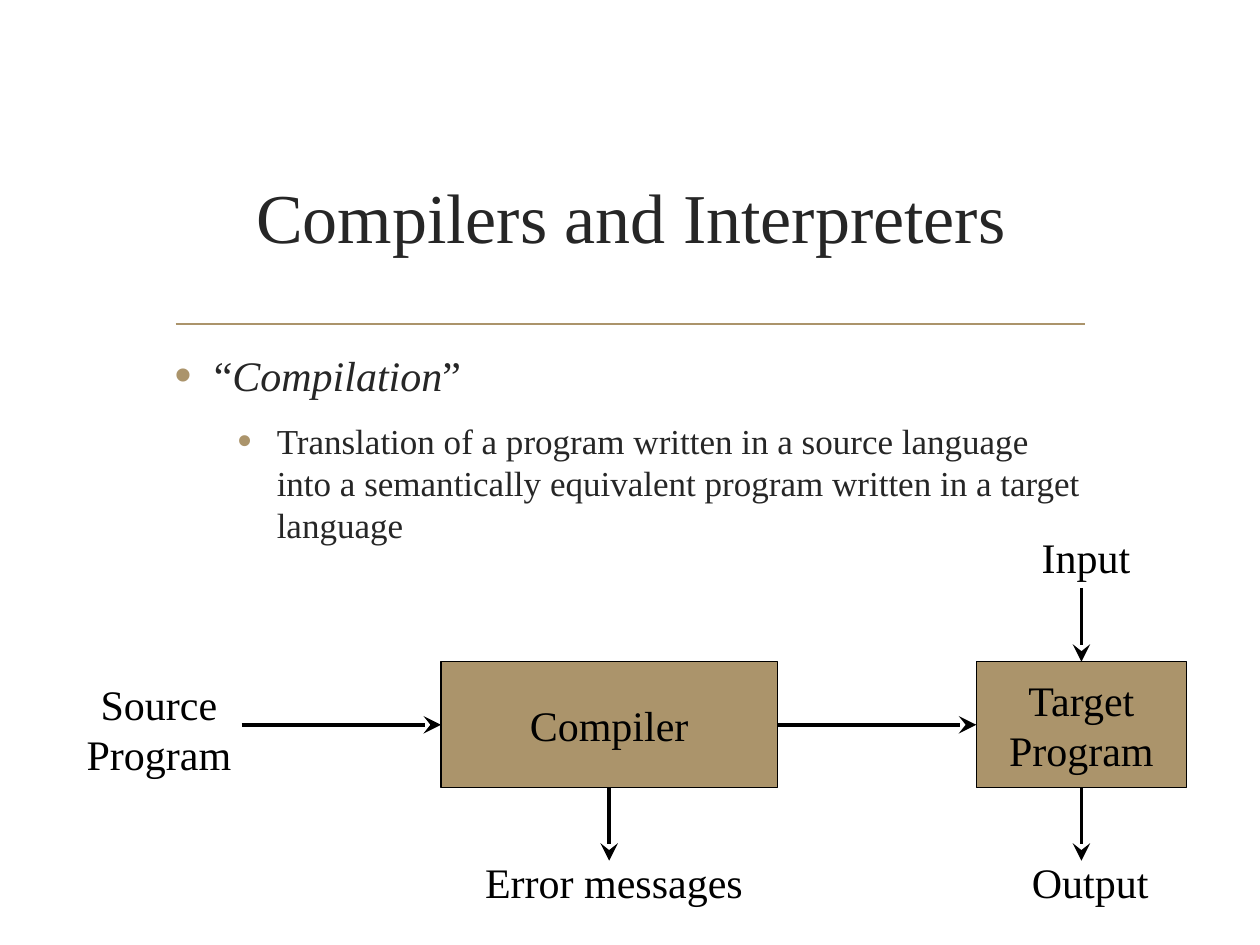
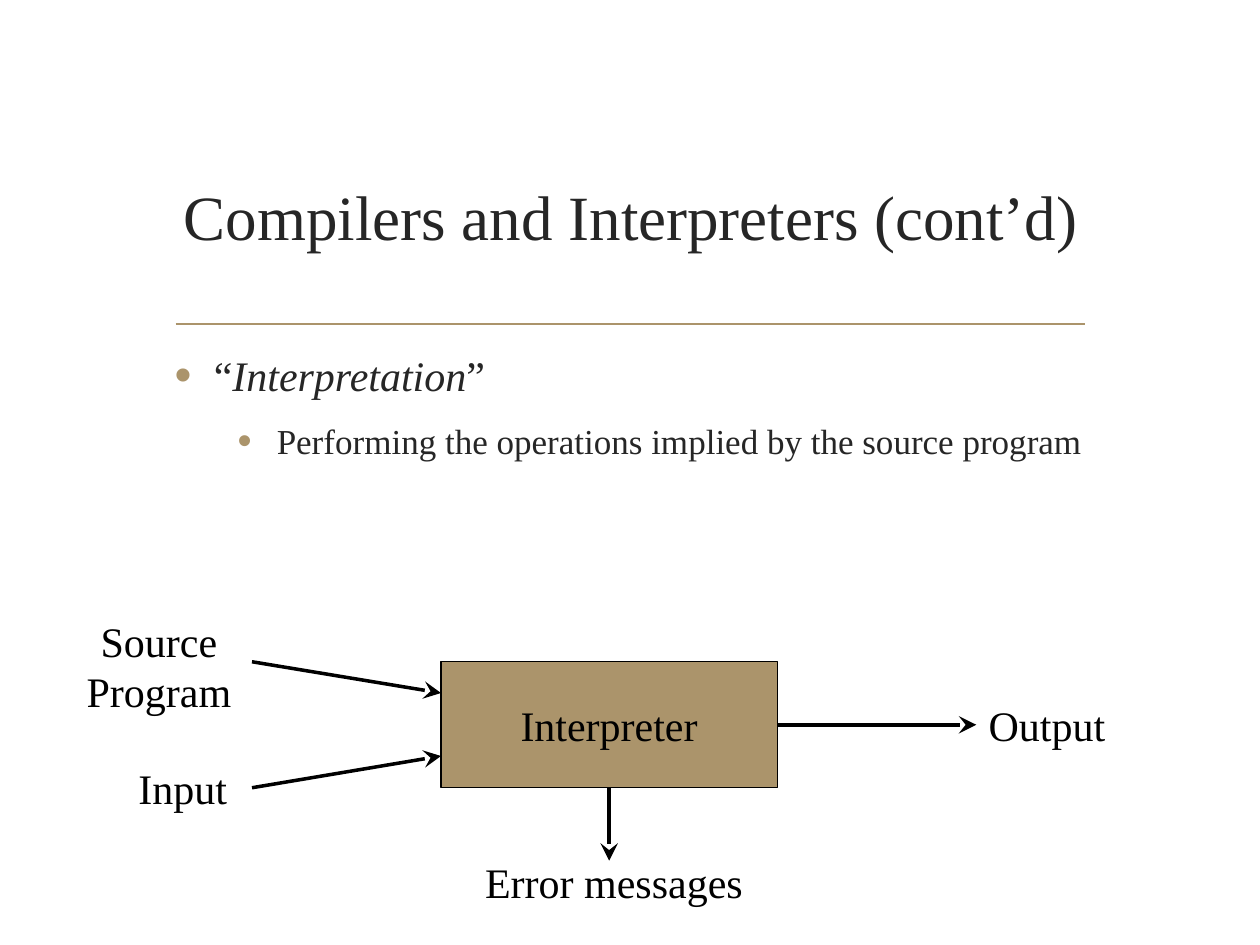
from dataclasses import dataclass
from enum import IntEnum
from typing import Union

from lxml.etree import SubElement
from pptx import Presentation
from pptx.dml.color import RGBColor
from pptx.enum.shapes import MSO_CONNECTOR, MSO_SHAPE
from pptx.enum.text import MSO_ANCHOR, MSO_AUTO_SIZE, PP_ALIGN
from pptx.oxml.ns import qn
from pptx.shapes.autoshape import Shape
from pptx.shapes.connector import Connector
from pptx.slide import Slide
from pptx.text.text import TextFrame, _Paragraph
from pptx.util import Cm, Pt


@dataclass(frozen=True)
class Theme:
    """Colours, font and type sizes shared by the slides."""

    font: str = "Times New Roman"
    accent: RGBColor = RGBColor(0xAB, 0x94, 0x6B)
    text: RGBColor = RGBColor(0x26, 0x26, 0x26)
    ink: RGBColor = RGBColor(0, 0, 0)
    term_size: int = 24
    definition_size: int = 20
    diagram_size: int = 24
    rule_width: float = 1.25
    box_line_width: float = 0.75
    arrow_width: float = 2


THEME = Theme()


class Side(IntEnum):
    """Connection sites of a rectangle."""

    TOP = 0
    LEFT = 1
    BOTTOM = 2
    RIGHT = 3


@dataclass(frozen=True)
class Area:
    """A rectangle on the slide, in centimetres."""

    left: float
    top: float
    width: float
    height: float

    def lengths(self) -> tuple[Cm, Cm, Cm, Cm]:
        """Return the rectangle as slide lengths."""
        return Cm(self.left), Cm(self.top), Cm(self.width), Cm(self.height)


@dataclass(frozen=True)
class Point:
    """A free arrow end, in centimetres."""

    x: float
    y: float


@dataclass(frozen=True)
class Joint:
    """An arrow end held at the middle of a box side."""

    box: str
    side: Side


@dataclass(frozen=True)
class Arrow:
    """An arrow between two ends."""

    begin: Union[Point, Joint]
    end: Union[Point, Joint]


@dataclass(frozen=True)
class Block:
    """Diagram text with its place."""

    lines: tuple[str, ...]
    area: Area
    alignment: PP_ALIGN = PP_ALIGN.CENTER


@dataclass(frozen=True)
class Topic:
    """The content of one slide."""

    title: str
    title_size: int
    term: str
    definition: str
    boxes: dict[str, Block]
    labels: tuple[Block, ...]
    arrows: tuple[Arrow, ...]


TITLE_AREA = Area(3.27, 2.53, 18.9, 3.63)
BODY_AREA = Area(3.27, 6.93, 18.9, 9.58)
RULE_START, RULE_END = Point(3.54, 6.53), Point(21.88, 6.53)
HANGING = 0.79
SECOND_INDENT = 2.06
ROW_TOP, ROW_HEIGHT = 13.34, 2.54
ROW_MIDDLE = ROW_TOP + ROW_HEIGHT / 2
ARROW_BOTTOM = 17.35
CENTRAL_AREA = Area(8.89, ROW_TOP, 6.78, ROW_HEIGHT)
TARGET_AREA = Area(19.68, ROW_TOP, 4.24, ROW_HEIGHT)
CENTRAL_X = CENTRAL_AREA.left + CENTRAL_AREA.width / 2
TARGET_X = TARGET_AREA.left + TARGET_AREA.width / 2


def source_label(top: float) -> Block:
    """Describe the source program label."""
    return Block(("Source", "Program"), Area(1.48, top, 3.45, 2.29))


def line_label(text: str, left: float, top: float, width: float) -> Block:
    """Describe a label of one line."""
    return Block((text,), Area(left, top, width, 1.27), PP_ALIGN.LEFT)


def input_label(left: float, top: float) -> Block:
    """Describe the input label."""
    return line_label("Input", left, top, 2.35)


def output_label(left: float, top: float) -> Block:
    """Describe the output label."""
    return line_label("Output", left, top, 2.95)


ERROR_LABEL = line_label("Error messages", 9.53, 17.15, 5.8)
ERROR_ARROW = Arrow(Joint("central", Side.BOTTOM), Point(CENTRAL_X, ARROW_BOTTOM))

TOPICS = (
    Topic(
        "Compilers and Interpreters", 40, "Compilation",
        "Translation of a program written in a source language into a "
        "semantically equivalent program written in a target language",
        {"central": Block(("Compiler",), CENTRAL_AREA),
         "target": Block(("Target", "Program"), TARGET_AREA)},
        (ERROR_LABEL, source_label(13.55), input_label(20.75, 10.59), output_label(20.55, 17.15)),
        (
            Arrow(Point(4.87, ROW_MIDDLE), Joint("central", Side.LEFT)),
            ERROR_ARROW,
            Arrow(Joint("central", Side.RIGHT), Joint("target", Side.LEFT)),
            Arrow(Joint("target", Side.BOTTOM), Point(TARGET_X, ARROW_BOTTOM)),
            Arrow(Point(TARGET_X, 11.85), Joint("target", Side.TOP)),
        ),
    ),
    Topic(
        "Compilers and Interpreters (cont’d)", 36, "Interpretation",
        "Performing the operations implied by the source program",
        {"central": Block(("Interpreter",), CENTRAL_AREA)},
        (source_label(12.28), input_label(2.54, 15.24), output_label(19.68, 13.97), ERROR_LABEL),
        (
            Arrow(Point(5.08, 13.34), Point(8.89, 13.97)),
            Arrow(Point(5.08, 15.88), Point(8.89, 15.24)),
            Arrow(Joint("central", Side.RIGHT), Point(19.68, ROW_MIDDLE)),
            ERROR_ARROW,
        ),
    ),
)


def style_paragraph(paragraph: _Paragraph, size: int, colour: RGBColor) -> None:
    """Give a paragraph the shared font."""
    paragraph.font.name = THEME.font
    paragraph.font.size = Pt(size)
    paragraph.font.color.rgb = colour


def add_bullet(paragraph: _Paragraph, indent: float) -> None:
    """Give a paragraph a hanging accent bullet."""
    properties = paragraph._p.get_or_add_pPr()
    properties.set("marL", str(Cm(indent)))
    properties.set("indent", str(-Cm(HANGING)))
    colour = SubElement(properties, qn("a:buClr"))
    SubElement(colour, qn("a:srgbClr"), val=str(THEME.accent))
    SubElement(properties, qn("a:buSzPct"), val="115000")
    SubElement(properties, qn("a:buFont"), typeface="Arial")
    SubElement(properties, qn("a:buChar"), char="•")


def add_line(slide: Slide, begin: Point, end: Point, colour: RGBColor, width: float) -> Connector:
    """Draw a straight line without a shadow."""
    line = slide.shapes.add_connector(
        MSO_CONNECTOR.STRAIGHT, Cm(begin.x), Cm(begin.y), Cm(end.x), Cm(end.y)
    )
    line.line.color.rgb = colour
    line.line.width = Pt(width)
    SubElement(line._element.spPr, qn("a:effectLst"))
    return line


def add_arrow(slide: Slide, arrow: Arrow, boxes: dict[str, Shape]) -> None:
    """Draw an arrow and join its ends to their boxes."""
    start, finish = (
        end if isinstance(end, Point) else Point(0, 0) for end in (arrow.begin, arrow.end)
    )
    line = add_line(slide, start, finish, THEME.ink, THEME.arrow_width)
    if isinstance(arrow.begin, Joint):
        line.begin_connect(boxes[arrow.begin.box], arrow.begin.side)
    if isinstance(arrow.end, Joint):
        line.end_connect(boxes[arrow.end.box], arrow.end.side)
    SubElement(line.line._get_or_add_ln(), qn("a:tailEnd"), type="stealth", w="lg", len="lg")


def write_block(frame: TextFrame, block: Block) -> None:
    """Write diagram text, one paragraph a line."""
    frame.word_wrap = False
    frame.text = "\n".join(block.lines)
    for paragraph in frame.paragraphs:
        paragraph.alignment = block.alignment
        style_paragraph(paragraph, THEME.diagram_size, THEME.ink)


def add_box(slide: Slide, block: Block) -> Shape:
    """Draw a filled diagram box."""
    shape = slide.shapes.add_shape(MSO_SHAPE.RECTANGLE, *block.area.lengths())
    shape.shadow.inherit = False
    shape.fill.solid()
    shape.fill.fore_color.rgb = THEME.accent
    shape.line.color.rgb = THEME.ink
    shape.line.width = Pt(THEME.box_line_width)
    shape.text_frame.vertical_anchor = MSO_ANCHOR.MIDDLE
    write_block(shape.text_frame, block)
    return shape


def add_label(slide: Slide, block: Block) -> None:
    """Draw a diagram label that grows with its text."""
    frame = slide.shapes.add_textbox(*block.area.lengths()).text_frame
    frame.auto_size = MSO_AUTO_SIZE.SHAPE_TO_FIT_TEXT
    write_block(frame, block)


def add_title(slide: Slide, topic: Topic) -> None:
    """Write the title and the rule below it."""
    add_line(slide, RULE_START, RULE_END, THEME.accent, THEME.rule_width)
    frame = slide.shapes.add_textbox(*TITLE_AREA.lengths()).text_frame
    frame.word_wrap = True
    frame.vertical_anchor = MSO_ANCHOR.MIDDLE
    frame.text = topic.title
    paragraph = frame.paragraphs[0]
    paragraph.alignment = PP_ALIGN.CENTER
    style_paragraph(paragraph, topic.title_size, THEME.text)


def add_body(slide: Slide, topic: Topic) -> None:
    """Write the term and its definition as bullets."""
    frame = slide.shapes.add_textbox(*BODY_AREA.lengths()).text_frame
    frame.word_wrap = True
    term = frame.paragraphs[0]
    term.space_after = Pt(6)
    add_bullet(term, HANGING)
    style_paragraph(term, THEME.term_size, THEME.text)
    for text, italic in (("“", False), (topic.term, True), ("”", False)):
        run = term.add_run()
        run.text = text
        run.font.italic = italic
    definition = frame.add_paragraph()
    definition.text = topic.definition
    definition.level = 1
    definition.space_before = Pt(5)
    definition.space_after = Pt(6)
    add_bullet(definition, SECOND_INDENT)
    style_paragraph(definition, THEME.definition_size, THEME.text)


def main() -> None:
    """Build and save the slides."""
    presentation = Presentation()
    presentation.slide_width, presentation.slide_height = Cm(25.4), Cm(19.05)
    for topic in TOPICS:
        slide = presentation.slides.add_slide(presentation.slide_layouts[6])
        add_title(slide, topic)
        add_body(slide, topic)
        boxes = {name: add_box(slide, block) for name, block in topic.boxes.items()}
        for label in topic.labels:
            add_label(slide, label)
        for arrow in topic.arrows:
            add_arrow(slide, arrow, boxes)
    presentation.save("out.pptx")


if __name__ == "__main__":
    main()
